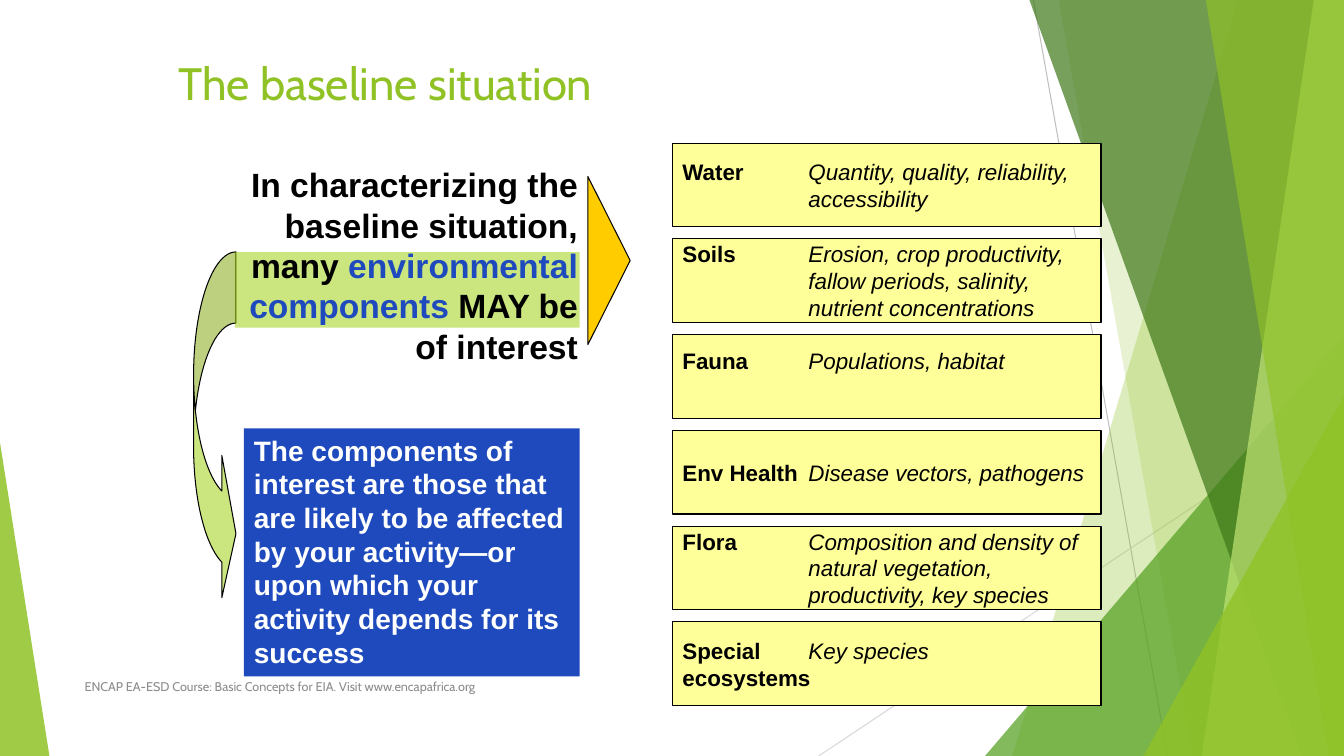
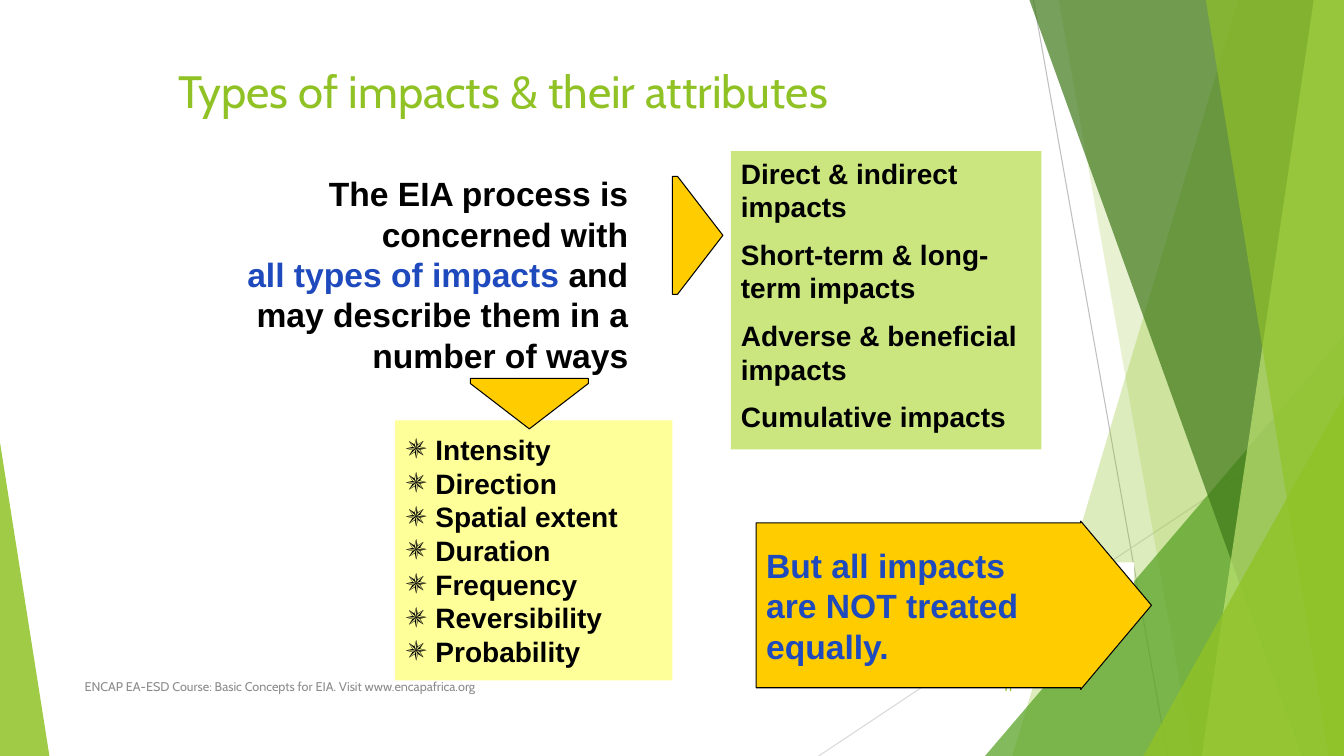
from lxml import etree
from pptx import Presentation
from pptx.dml.color import RGBColor
from pptx.enum.shapes import MSO_CONNECTOR, MSO_SHAPE
from pptx.enum.text import MSO_ANCHOR, PP_ALIGN
from pptx.oxml.ns import qn
from pptx.util import Inches, Pt

RECT = MSO_SHAPE.RECTANGLE
TRI = MSO_SHAPE.ISOSCELES_TRIANGLE
ARROW = MSO_SHAPE.RIGHT_ARROW
PLATE = MSO_SHAPE.PENTAGON
CURVE = MSO_SHAPE.CURVED_RIGHT_ARROW
LINE = MSO_CONNECTOR.STRAIGHT
TOP, MIDDLE = MSO_ANCHOR.TOP, MSO_ANCHOR.MIDDLE
LEFT, RIGHT = PP_ALIGN.LEFT, PP_ALIGN.RIGHT

WIDE, HIGH = 13.33, 7.5


class Theme:
    """Colours and type styles of the deck."""
    green, leaf, forest, lime = "90C226", "54A021", "3F7819", "C0E474"
    pale, gold, cream, blue = "99CC00", "FFCC00", "FFFF99", "1E4ABD"
    black, white, gray = "000000", "FFFFFF", "8C8C8C"
    rules = ("BFBFBF", "D9D9D9")
    title = dict(name="Cabin", size=Pt(32.4), color=green)
    foot = dict(name="Cabin", size=Pt(9), color=gray)
    page = dict(foot, color=green)
    lead = dict(name="Arial", size=Pt(24), bold=True, color=black)
    key = dict(lead, color=blue)
    body = dict(lead, size=Pt(20))
    note = dict(body, color=white)
    term = dict(lead, size=Pt(16))
    gloss = dict(term, bold=False, italic=True)


# Basic parts
def paint(shape, fill, alpha=100, line=None):
    shape.shadow.inherit = False
    shape.fill.solid()
    shape.fill.fore_color.rgb = RGBColor.from_string(fill)
    if alpha < 100:
        tone = shape.element.spPr.find(qn("a:solidFill"))[0]
        etree.SubElement(tone, qn("a:alpha"), val=str(alpha * 1000))
    if line:
        shape.line.color.rgb = RGBColor.from_string(line)
        shape.line.width = Pt(0.75)
    else:
        shape.line.fill.background()
    return shape


def draw(slide, kind, box, fill, alpha=100, line=None, adj=(), turn=0):
    shape = slide.shapes.add_shape(kind, *map(Inches, box))
    for i, value in enumerate(adj):
        shape.adjustments[i] = value
    shape.rotation = turn
    return paint(shape, fill, alpha, line)


def style(font, look):
    for name, value in look.items():
        if name == "color":
            font.color.rgb = RGBColor.from_string(value)
        else:
            setattr(font, name, value)


def indent(para, hang, bullet=None, tab=False):
    props = para._p.get_or_add_pPr()
    size = Inches(hang)
    if tab:
        stops = etree.SubElement(props, qn("a:tabLst"))
        etree.SubElement(stops, qn("a:tab"), pos=str(size), algn="l")
        return
    props.set("marL", str(size))
    props.set("indent", str(-size))
    if bullet:
        etree.SubElement(props, qn("a:buFont"), typeface="Times New Roman")
        etree.SubElement(props, qn("a:buChar"), char=bullet)


def write(shape, paras, align=LEFT, gap=0, **frame):
    """Fill a shape; each paragraph is a list of (text, look) runs."""
    text = shape.text_frame
    for name, value in dict(word_wrap=True, vertical_anchor=TOP, **{}).items():
        setattr(text, name, frame.pop(name, value))
    for name, value in frame.items():
        setattr(text, name, value)
    for i, runs in enumerate(paras):
        para = text.add_paragraph() if i else text.paragraphs[0]
        para.alignment = align
        if i and gap:
            para.space_before = Pt(gap)
        for words, look in runs:
            for j, part in enumerate(words.split("\n")):
                if j:
                    para.add_line_break()
                if part:
                    run = para.add_run()
                    run.text = part
                    style(run.font, look)
    return text


def label(slide, box, paras, **opts):
    return write(slide.shapes.add_textbox(*map(Inches, box)), paras, **opts)


# Shared backdrop, title and footer
def shard(slide, top, foot, fill, alpha):
    pen = slide.shapes.build_freeform(Inches(top), 0)
    pen.add_line_segments([(Inches(x), Inches(y)) for x, y in
                           ((WIDE, 0), (WIDE, HIGH), (foot, HIGH))])
    paint(pen.convert_to_shape(), fill, alpha)


def wedge(slide, left, top, wide, tip, fill, alpha):
    draw(slide, TRI, (left, top, wide, HIGH - top), fill, alpha, adj=[tip])


def scene(slide):
    ends = ((10.25, 0, 11.58, HIGH), (WIDE, 4.03, 8.12, HIGH))
    for tone, line in zip(Theme.rules, ends):
        rule = slide.shapes.add_connector(LINE, *map(Inches, line))
        rule.line.color.rgb = RGBColor.from_string(tone)
        rule.line.width = Pt(0.75)
        etree.SubElement(rule.element.spPr, qn("a:effectLst"))
    shard(slide, 12.28, 10.04, Theme.green, 30)
    shard(slide, 10.5, 11.83, Theme.green, 20)
    wedge(slide, 9.77, 3.33, 3.56, 1, Theme.leaf, 72)
    shard(slide, 10.21, 12.91, Theme.forest, 70)
    shard(slide, 13.03, 11.92, Theme.lime, 70)
    shard(slide, 11.96, 13.18, Theme.green, 65)
    wedge(slide, 11.34, 3.93, 1.99, 1, Theme.green, 80)
    wedge(slide, 0, 4.39, 0.49, 0, Theme.green, 85)


def start(deck, title, top, page=None):
    slide = deck.slides.add_slide(deck.slide_layouts[6])
    scene(slide)
    label(slide, (1.67, top, 8.5, 0.67), [[(title, Theme.title)]])
    foot = "ENCAP EA-ESD Course: Basic Concepts for EIA. Visit www.encapafrica.org"
    label(slide, (0.74, 6.61, 6.89, 0.4), [[(foot, Theme.foot)]],
          vertical_anchor=MIDDLE)
    if page:
        label(slide, (9.39, 6.61, 0.75, 0.4), [[(page, Theme.page)]],
              align=RIGHT, vertical_anchor=MIDDLE)
    return slide


# Baseline slide
def claim(slide, box):
    """Lead statement, its highlight and the arrows leaving it."""
    x, y, w, h = box
    draw(slide, CURVE, (x - 0.39, y + 0.92, 0.42, 3.5), Theme.pale, 50,
         Theme.black, adj=[1.68, 3.36, 0.333])
    draw(slide, RECT, (x + 0.02, y + 0.92, w - 0.1, 0.75), Theme.pale, 50)
    label(slide, box, [[
        ("In characterizing the baseline situation, many ", Theme.lead),
        ("environmental components", Theme.key),
        (" MAY be of interest", Theme.lead)]], align=RIGHT)
    draw(slide, ARROW, (x + w, y + 0.17, 0.42, 1.67), Theme.gold,
         line=Theme.black, adj=[0.62, 1])


def cards(slide, box, rows):
    """Equal cards, spread over the height of the box."""
    x, y, w, h = box
    tall = 0.83
    step = (h - tall) / (len(rows) - 1)
    for i, (term, gloss, rest, lift) in enumerate(rows):
        card = draw(slide, RECT, (x, y + i * step, w, tall), Theme.cream,
                    line=Theme.black)
        runs = [(term + "\t", Theme.term), (gloss, Theme.gloss)]
        if rest:
            runs.append(("\n" + rest, Theme.term))
        text = write(card, [runs], vertical_anchor=MIDDLE,
                     margin_bottom=Inches(0.05 + lift))
        indent(text.paragraphs[0], 1.25, tab=bool(rest))


def scope(slide, box):
    panel = draw(slide, RECT, box, Theme.blue)
    write(panel, [[("The components of interest are those that are likely to "
                    "be affected by your activity—or upon which your activity "
                    "depends for its success", Theme.note)]])


def baseline(deck):
    slide = start(deck, "The baseline situation", 0.5)
    claim(slide, (2.31, 1.58, 3.52, 2.12))
    cards(slide, (6.67, 1.42, 4.25, 5.58), [
        ("Water", "Quantity, quality, reliability, accessibility", "", 0),
        ("Soils", "Erosion, crop productivity, fallow periods, salinity, "
                  "nutrient concentrations", "", 0),
        ("Fauna", "Populations, habitat", "", 0.31),
        ("Env Health", "Disease vectors, pathogens", "", 0),
        ("Flora", "Composition and density of natural vegetation, "
                  "productivity, key species", "", 0),
        ("Special", "Key species", "ecosystems", 0)])
    scope(slide, (2.42, 4.25, 3.33, 2.46))


# Impacts slide
def kinds(slide, box, names):
    panel = draw(slide, RECT, box, Theme.pale, 50)
    write(panel, [[(name, Theme.body)] for name in names], gap=10)


def traits(slide, box, names):
    panel = draw(slide, RECT, box, Theme.cream)
    text = write(panel, [[(name, Theme.body)] for name in names],
                 vertical_anchor=MIDDLE)
    for para in text.paragraphs:
        indent(para, 0.3, bullet="✵")


def point(slide, box, turn=0):
    draw(slide, PLATE, box, Theme.gold, line=Theme.black, adj=[0.9], turn=turn)


def caveat(slide, box):
    x, y, w, h = box
    draw(slide, RECT, (x - 0.25, y + 0.41, 4, 0.5), Theme.white)
    arrow = draw(slide, ARROW, box, Theme.gold, line=Theme.black,
                 adj=[0.98, 0.42])
    write(arrow, [[("But all impacts are NOT treated equally.", Theme.key)]],
          vertical_anchor=MIDDLE, margin_right=Inches(0.6))


def impacts(deck):
    slide = start(deck, "Types of impacts & their attributes", 0.58, "11")
    kinds(slide, (7.25, 1.5, 3.08, 2.96), [
        "Direct & indirect impacts", "Short-term & long-term impacts",
        "Adverse & beneficial impacts", "Cumulative impacts"])
    label(slide, (2, 1.67, 4.33, 2.12), [[
        ("The EIA process is concerned with\n", Theme.lead),
        ("all types of impacts", Theme.key),
        (" and may describe them in a number of ways", Theme.lead)]],
        align=RIGHT)
    point(slide, (6.67, 1.75, 0.5, 1.17))
    traits(slide, (3.92, 4.17, 2.75, 2.58), [
        "Intensity", "Direction", "Spatial extent", "Duration", "Frequency",
        "Reversibility", "Probability"])
    point(slide, (5, 3.42, 0.5, 1.17), turn=90)
    caveat(slide, (7.5, 5.17, 3.92, 1.67))


def main():
    deck = Presentation()
    deck.slide_width, deck.slide_height = Inches(WIDE), Inches(HIGH)
    baseline(deck)
    impacts(deck)
    deck.save("out.pptx")


if __name__ == "__main__":
    main()
